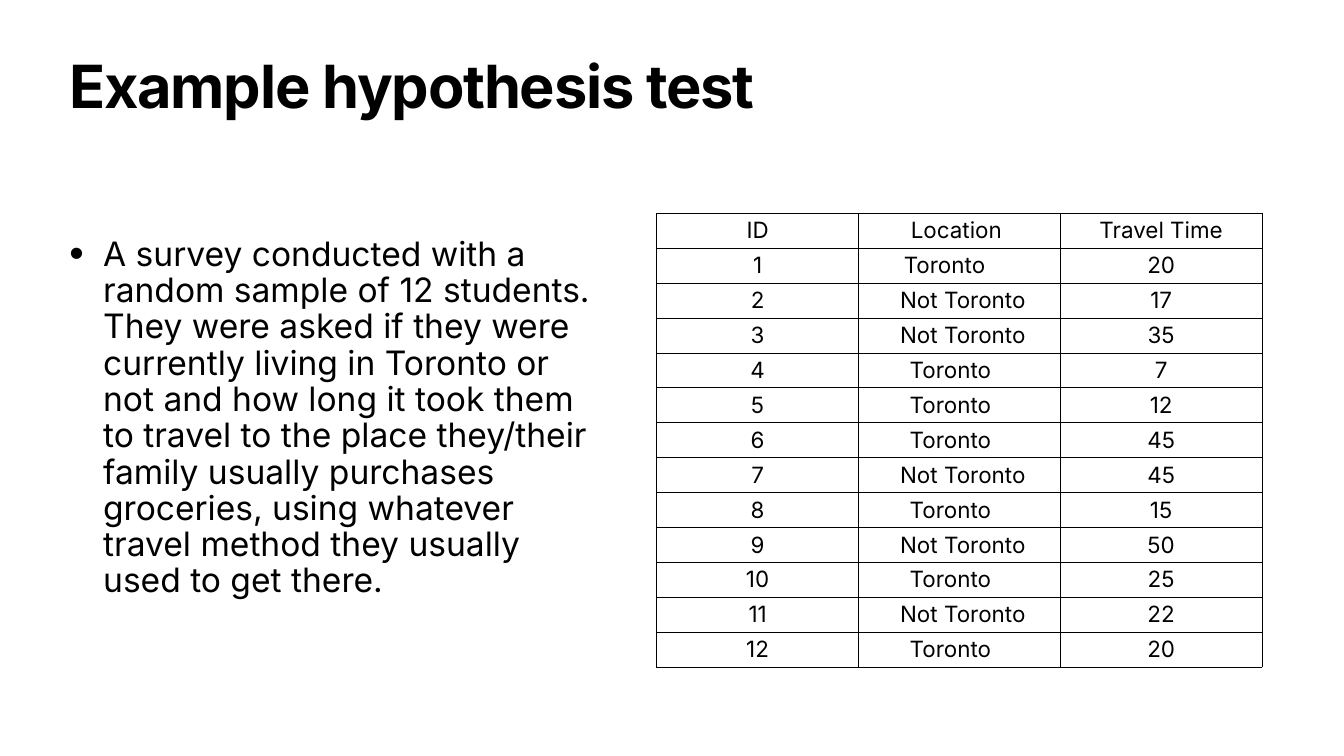
from pptx import Presentation
from pptx.dml.color import RGBColor as Rgb
from pptx.enum.text import MSO_ANCHOR as Anchor, PP_ALIGN as Align
from pptx.oxml import parse_xml
from pptx.oxml.ns import nsdecls
from pptx.util import Cm, Pt

COLORS = {"ink": "000000", "page": "FFFFFF"}
FONT = "Inter"
INSET = 0.15


def put(item, **values):
    for name, value in values.items():
        setattr(item, name, value)


class Deck:
    def __init__(self, wide, high):
        self.file = Presentation()
        put(self.file, slide_width=Cm(wide), slide_height=Cm(high))
        self.slide = self.file.slides.add_slide(self.file.slide_layouts[6])
        fill = self.slide.background.fill
        fill.solid()
        fill.fore_color.rgb = Rgb.from_string(COLORS["page"])

    def label(self, par, words, size, bold=False, **style):
        put(par, **style)
        run = par.add_run()
        run.text = words
        put(run.font, name=FONT, size=Pt(size), bold=bold)
        run.font.color.rgb = Rgb.from_string(COLORS["ink"])
        return run

    def inset(self, item, left=0, right=0):
        put(item, margin_left=Cm(INSET + left), margin_right=Cm(INSET + right),
            margin_top=Cm(INSET), margin_bottom=Cm(INSET))

    def text(self, box, words, size, **style):
        frame = self.slide.shapes.add_textbox(*map(Cm, box)).text_frame
        put(frame, word_wrap=True, vertical_anchor=Anchor.TOP)
        self.inset(frame)
        return self.label(frame.paragraphs[0], words, size, **style)

    def title(self, box, words):
        run = self.text(box, words, 85, bold=True, line_spacing=0.8)
        run._r.get_or_add_rPr().set("spc", "-170")

    def bullet(self, box, words, indent):
        run = self.text(box, words, 48, line_spacing=0.9)
        props = run._r.getparent().get_or_add_pPr()
        props.set("marL", str(Cm(indent)))
        props.set("indent", str(-Cm(indent)))
        for tag in ('buSzPct %s val="123000"', 'buFont %s typeface="Arial"',
                    'buChar %s char="•"'):
            props.append(parse_xml(f"<a:{tag % nsdecls('a')}/>"))

    def border(self, cell):
        props = cell._tc.get_or_add_tcPr()
        for at, side in enumerate(("lnL", "lnR", "lnT", "lnB")):
            props.insert(at, parse_xml(
                f'<a:{side} {nsdecls("a")} w="{Pt(1)}"><a:solidFill>'
                f'<a:srgbClr val="{COLORS["ink"]}"/></a:solidFill></a:{side}>'))

    def table(self, left, top, wide, high, rows, pads):
        count = len(rows[0])
        table = self.slide.shapes.add_table(
            len(rows), count, Cm(left), Cm(top),
            Cm(wide * count), Cm(high * len(rows))).table
        put(table, first_row=False, horz_banding=False)
        for col in table.columns:
            col.width = Cm(wide)
        for y, row in enumerate(rows):
            table.rows[y].height = Cm(high)
            for x, words in enumerate(row):
                cell = table.cell(y, x)
                cell.fill.background()
                cell.vertical_anchor = Anchor.MIDDLE
                self.inset(cell, *pads.get((y, x), pads.get(words, (0, 0))))
                self.border(cell)
                self.label(cell.text_frame.paragraphs[0], words, 32,
                           alignment=Align.CENTER)


HOME, AWAY = "Toronto", "Not Toronto"
TRIPS = [(HOME, 20), (AWAY, 17), (AWAY, 35), (HOME, 7), (HOME, 12), (HOME, 45),
         (AWAY, 45), (HOME, 15), (AWAY, 50), (HOME, 25), (AWAY, 22), (HOME, 20)]
ROWS = [("ID", "Location", "Travel Time")]
ROWS += [(str(n), place, str(time)) for n, (place, time) in enumerate(TRIPS, 1)]
PADS = {"Location": (0, 0.3), HOME: (0, 0.9), AWAY: (0.35, 0), (1, 1): (0, 1.5)}

deck = Deck(67.74, 38.1)
deck.title((3.35, 3, 61.04, 3.99), "Example hypothesis test")
deck.bullet((3.35, 11.81, 26.9, 22.94),
            "A survey conducted with a random sample of 12 students. They were "
            "asked if they were currently living in Toronto or not and how long "
            "it took them to travel to the place they/their family usually "
            "purchases groceries, using whatever travel method they usually "
            "used to get there.", 1.7)
deck.table(33.1, 10.74, 10.17, 1.76, ROWS, PADS)
deck.file.save("out.pptx")
